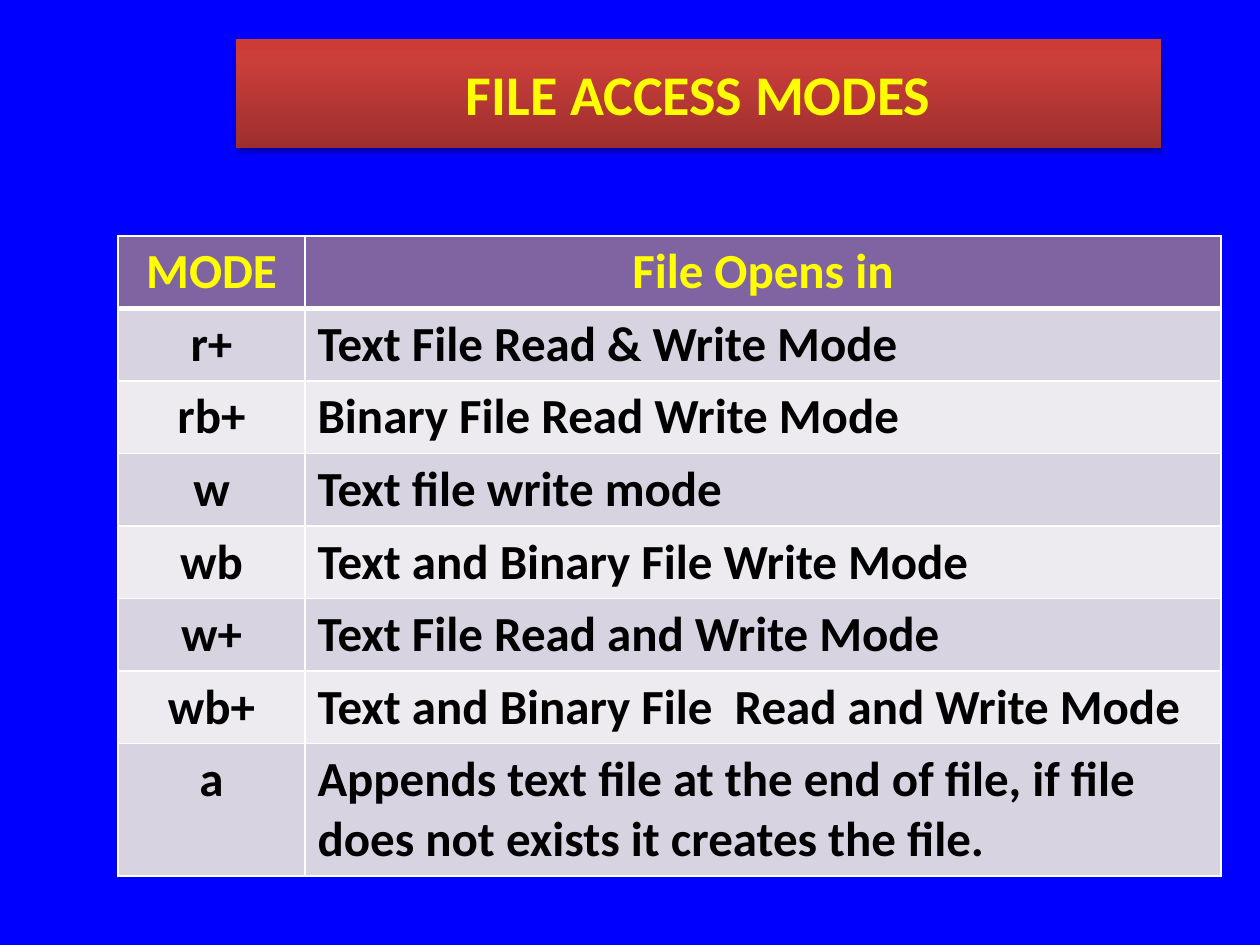
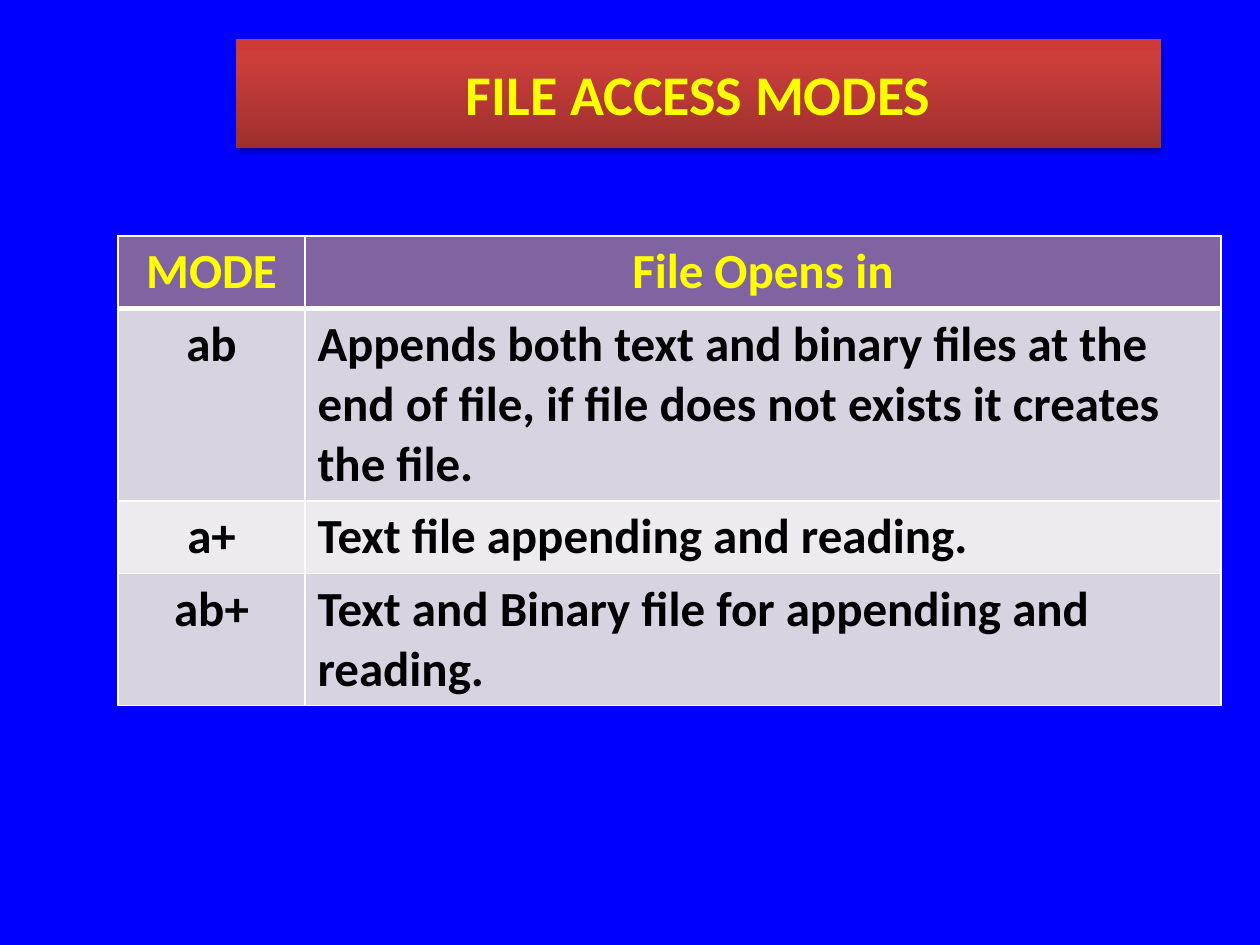
from lxml.etree import SubElement
from pptx import Presentation
from pptx.dml.color import RGBColor
from pptx.enum.shapes import MSO_SHAPE
from pptx.enum.text import MSO_ANCHOR, PP_ALIGN
from pptx.oxml import parse_xml
from pptx.oxml.ns import qn
from pptx.util import Emu, Pt

TITLE = "FILE ACCESS MODES"
HEADER = ("MODE", "File Opens in")
MODES_BY_SLIDE = [
    [
        ("r+", "Text File Read & Write Mode"),
        ("rb+", "Binary File Read Write Mode"),
        ("w", "Text file write mode"),
        ("wb", "Text and Binary File Write Mode"),
        ("w+", "Text File Read and Write Mode"),
        ("wb+", "Text and Binary File  Read and Write Mode"),
        ("a", "Appends text file at the end of file, if file does not exists it creates the file."),
    ],
    [
        ("ab", "Appends both text and binary files at the end of file, if file does not exists it creates the file."),
        ("a+", "Text file appending and reading."),
        ("ab+", "Text and Binary file for appending and reading."),
    ],
]

FONT = "Calibri"
BLUE = RGBColor(0x00, 0x00, 0xFF)
YELLOW = RGBColor(0xFF, 0xFF, 0x00)
BLACK = RGBColor(0x00, 0x00, 0x00)
WHITE = RGBColor(0xFF, 0xFF, 0xFF)
PURPLE = RGBColor(0x80, 0x64, 0xA2)
BANDS = (RGBColor(0xD8, 0xD3, 0xE0), RGBColor(0xED, 0xEA, 0xF0))
BANNER_STOPS = (
    (0, RGBColor(0x9C, 0x2F, 0x2D)),
    (80, RGBColor(0xCB, 0x3E, 0x3A)),
    (100, RGBColor(0xCE, 0x3B, 0x37)),
)

PX_PER_INCH = 126
SLIDE_SIZE = (1260, 945)
BANNER = (236, 39, 925, 109)
TABLE_LEFT, TABLE_TOP = 118, 236
COLUMNS = (187, 916)
ROW_HEIGHT = 72
RULE, HEADER_RULE = 1, 3
NS = 'xmlns:a="http://schemas.openxmlformats.org/drawingml/2006/main"'


def px(length):
    return Emu(round(length * 914400 / PX_PER_INCH))


def write(frame, text, size, color, align):
    paragraph = frame.paragraphs[0]
    paragraph.alignment = align
    run = paragraph.add_run()
    run.text = text
    font = run.font
    font.name, font.size, font.bold = FONT, Pt(size), True
    font.color.rgb = color


def style_banner(banner):
    """Give the banner its upward gradient and the soft shadow below it."""
    banner.line.fill.background()
    banner.shadow.inherit = False
    stops = "".join(
        f'<a:gs pos="{percent * 1000}"><a:srgbClr val="{color}"/></a:gs>'
        for percent, color in BANNER_STOPS)
    gradient = parse_xml(
        f'<a:gradFill {NS} rotWithShape="1"><a:gsLst>{stops}</a:gsLst>'
        '<a:lin ang="16200000" scaled="0"/></a:gradFill>')
    shadow = parse_xml(
        f'<a:outerShdw {NS} blurRad="{Pt(3.1)}" dist="{Pt(1.8)}" dir="5400000" rotWithShape="0">'
        f'<a:srgbClr val="{BLACK}"><a:alpha val="35000"/></a:srgbClr></a:outerShdw>')
    properties = banner.fill._xPr
    properties.find(qn("a:prstGeom")).addnext(gradient)
    properties.find(qn("a:effectLst")).append(shadow)


def add_banner(slide):
    banner = slide.shapes.add_shape(MSO_SHAPE.RECTANGLE, *map(px, BANNER))
    style_banner(banner)
    banner.text_frame.word_wrap = True
    banner.text_frame.vertical_anchor = MSO_ANCHOR.MIDDLE
    write(banner.text_frame, TITLE, 32, YELLOW, PP_ALIGN.CENTER)


def set_borders(cell, top, bottom):
    properties = cell._tc.get_or_add_tcPr()
    for side, width in (("L", RULE), ("R", RULE), ("T", top), ("B", bottom)):
        line = SubElement(properties, qn(f"a:ln{side}"), w=str(Pt(width)))
        fill = SubElement(line, qn("a:solidFill"))
        SubElement(fill, qn("a:srgbClr"), val=str(WHITE))


def add_mode_table(slide, modes):
    rows = [HEADER, *modes]
    table = slide.shapes.add_table(
        len(rows), len(COLUMNS), px(TABLE_LEFT), px(TABLE_TOP),
        px(sum(COLUMNS)), px(ROW_HEIGHT * len(rows))).table
    for column, width in zip(table.columns, COLUMNS):
        column.width = px(width)
    for r, row in enumerate(rows):
        is_header = r == 0
        for c, text in enumerate(row):
            cell = table.cell(r, c)
            set_borders(cell, top=HEADER_RULE if r == 1 else RULE,
                        bottom=HEADER_RULE if is_header else RULE)
            cell.fill.solid()
            cell.fill.fore_color.rgb = PURPLE if is_header else BANDS[(r - 1) % 2]
            centred = is_header or c == 0
            write(cell.text_frame, text, 28, YELLOW if is_header else BLACK,
                  PP_ALIGN.CENTER if centred else PP_ALIGN.LEFT)


def main():
    deck = Presentation()
    deck.slide_width, deck.slide_height = map(px, SLIDE_SIZE)
    for modes in MODES_BY_SLIDE:
        slide = deck.slides.add_slide(deck.slide_layouts[6])
        slide.background.fill.solid()
        slide.background.fill.fore_color.rgb = BLUE
        add_banner(slide)
        add_mode_table(slide, modes)
    deck.save("out.pptx")


if __name__ == "__main__":
    main()
